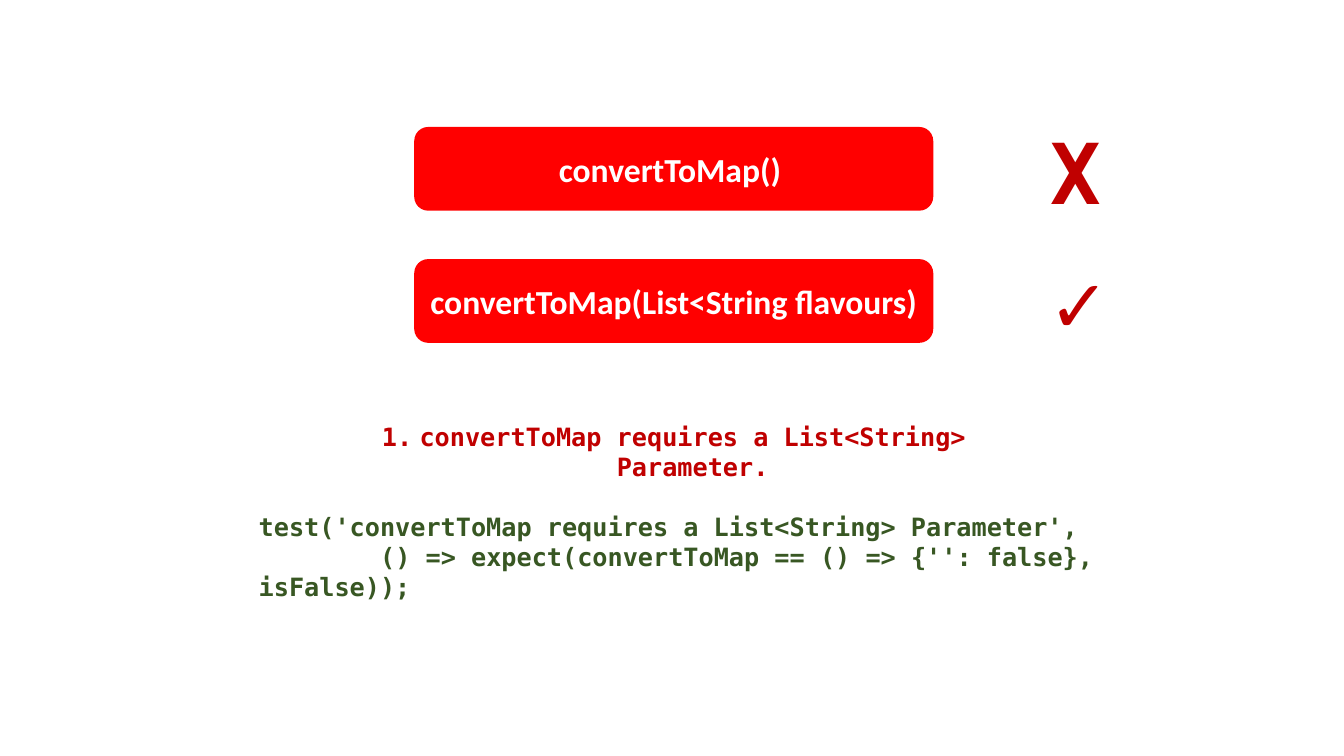
from lxml.etree import SubElement
from pptx import Presentation
from pptx.dml.color import RGBColor
from pptx.enum.shapes import MSO_SHAPE as Preset
from pptx.enum.text import MSO_ANCHOR as Anchor, MSO_AUTO_SIZE as AutoSize, PP_ALIGN as Align
from pptx.oxml.ns import qn
from pptx.util import Cm, Pt

RED = RGBColor(0xFF, 0x00, 0x00)
DARK_RED = RGBColor(0xC0, 0x00, 0x00)
GREEN = RGBColor(0x38, 0x57, 0x23)
WHITE = RGBColor(0xFF, 0xFF, 0xFF)


def write(para, text, *, font, size, color, align=Align.LEFT):
    """Put bold text into a paragraph with the given format."""
    para.alignment = align
    span = para.add_run()
    span.text = text
    span.font.name = font
    span.font.size = Pt(size)
    span.font.bold = True
    span.font.color.rgb = color


def indent(para, first, left=0):
    """Set the first-line and left indents of a paragraph in centimetres."""
    props = para._p.get_or_add_pPr()
    props.set("marL", str(Cm(left)))
    props.set("indent", str(Cm(first)))
    return props


class Page:
    """Holds the style and the slide being built."""

    label_font = "Calibri"
    code_font = "DejaVu Sans Mono"

    def __init__(self, deck):
        """Add a blank slide to the deck."""
        self.shapes = deck.slides.add_slide(deck.slide_layouts[6]).shapes

    def button(self, text, left, top, width, height):
        """Draw a red rounded button with a white label."""
        box = self.shapes.add_shape(
            Preset.ROUNDED_RECTANGLE, Cm(left), Cm(top), Cm(width), Cm(height))
        box.shadow.inherit = False
        box.fill.solid()
        box.fill.fore_color.rgb = RED
        box.line.fill.background()
        frame = box.text_frame
        frame.word_wrap = True
        frame.vertical_anchor = Anchor.MIDDLE
        write(frame.paragraphs[0], text, font=self.label_font, size=24,
              color=WHITE, align=Align.CENTER)

    def code(self, lines, left, top, width, height, **style):
        """Add a monospaced text box and return its paragraphs."""
        box = self.shapes.add_textbox(Cm(left), Cm(top), Cm(width), Cm(height))
        frame = box.text_frame
        frame.word_wrap = True
        frame.auto_size = AutoSize.SHAPE_TO_FIT_TEXT
        for number, line in enumerate(lines):
            para = frame.add_paragraph() if number else frame.paragraphs[0]
            write(para, line, font=self.code_font, **style)
        return frame.paragraphs

    def mark(self, symbol, left, top):
        """Add a large verdict symbol."""
        self.code([symbol], left, top, 2.06, 2.82,
                  size=60, color=DARK_RED, align=Align.CENTER)

    def numbered(self, text, left, top, width, height):
        """Add a centred, numbered requirement."""
        para, = self.code([text], left, top, width, height,
                          size=18, color=DARK_RED, align=Align.CENTER)
        props = indent(para, -0.95, left=0.95)
        SubElement(props, qn("a:buAutoNum"), type="arabicPeriod")


def main():
    """Build and save the deck."""
    deck = Presentation()
    deck.slide_width, deck.slide_height = Cm(33.87), Cm(19.05)
    page = Page(deck)

    calls = [
        ("convertToMap() ", "X", 26.09, 2.92),
        ("convertToMap(List<String flavours) ", "\u2713", 26.16, 6.17),
    ]
    for row, (call, symbol, mark_left, mark_top) in enumerate(calls):
        page.button(call, 10.44, 3.2 + 3.33 * row, 13.08, 2.11)
        page.mark(symbol, mark_left, mark_top)

    page.numbered("convertToMap requires a List<String> Parameter.",
                  7.8, 10.49, 18.36, 1.02)
    test_lines = page.code(
        ["test('convertToMap requires a List<String> Parameter',",
         "() => expect(convertToMap == () => {'': false}, isFalse));"],
        6.27, 12.75, 23.72, 1.8, size=18, color=GREEN)
    indent(test_lines[1], 3.06)

    deck.save("out.pptx")


main()
